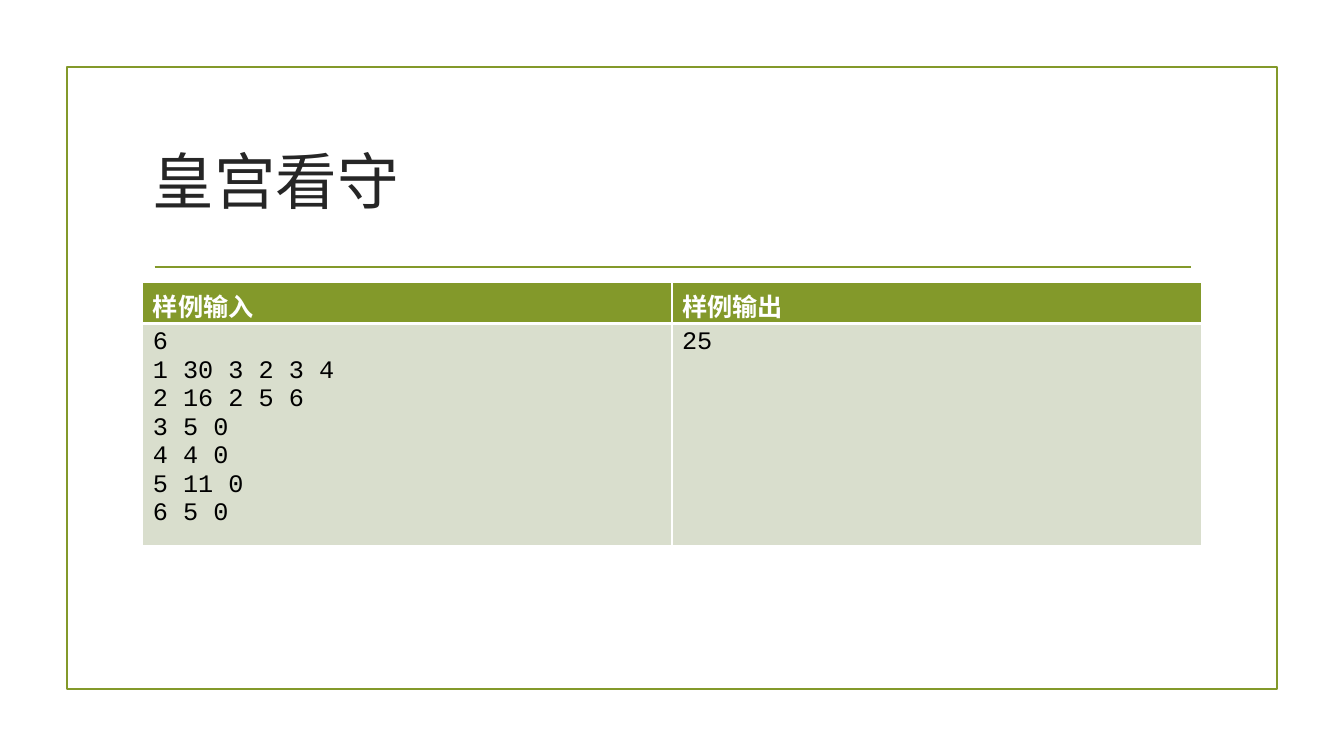
from lxml.etree import SubElement
from pptx import Presentation
from pptx.dml.color import RGBColor as RGB
from pptx.enum.shapes import MSO_CONNECTOR as CONN, MSO_SHAPE as SHAPE
from pptx.enum.text import MSO_ANCHOR as ANCHOR
from pptx.oxml.ns import qn
from pptx.util import Inches, Pt

COLORS = {"olive": "83992A", "pale": "D9DECD", "white": "FFFFFF",
          "black": "000000", "title": "262626"}
COLS, ROWS = 160, 90


class SlideBuilder:
    title_font = "Times New Roman"
    code_font = "Courier New"
    line_width = Pt(1.25)

    def __init__(self, prs):
        self.slide = prs.slides.add_slide(prs.slide_layouts[6])
        self.shapes = self.slide.shapes
        self.col = prs.slide_width / COLS
        self.row = prs.slide_height / ROWS
        self.background("white")

    def rgb(self, color):
        return RGB.from_string(COLORS[color])

    def place(self, x, y, w, h):
        return (round(x * self.col), round(y * self.row),
                round(w * self.col), round(h * self.row))

    def background(self, color):
        fill = self.slide.background.fill
        fill.solid()
        fill.fore_color.rgb = self.rgb(color)

    def outline(self, line, color):
        line.color.rgb = self.rgb(color)
        line.width = self.line_width

    def frame(self, x, y, w, h, color):
        sp = self.shapes.add_shape(SHAPE.RECTANGLE, *self.place(x, y, w, h))
        sp.shadow.inherit = False
        sp.fill.background()
        self.outline(sp.line, color)

    def rule(self, x1, x2, y, color):
        ends = self.place(x1, y, x2, y)
        cn = self.shapes.add_connector(CONN.STRAIGHT, *ends)
        self.outline(cn.line, color)
        SubElement(cn._element.spPr, qn("a:effectLst"))

    def add_lines(self, tf, lines, font, size, color, bold=False):
        for i, line in enumerate(lines):
            p = tf.paragraphs[0] if i == 0 else tf.add_paragraph()
            r = p.add_run()
            r.text = line
            r.font.name = font
            r.font.size = Pt(size)
            r.font.bold = bold
            r.font.color.rgb = self.rgb(color)

    def title(self, text, x, y, w, h):
        tf = self.shapes.add_textbox(*self.place(x, y, w, h)).text_frame
        tf.word_wrap = True
        tf.vertical_anchor = ANCHOR.MIDDLE
        self.add_lines(tf, [text], self.title_font, 44, "title")

    def borders(self, cell, widths):
        tcPr = cell._tc.get_or_add_tcPr()
        for side, width in zip("LRTB", widths):
            ln = SubElement(tcPr, qn(f"a:ln{side}"), w=str(Pt(width)))
            fill = SubElement(ln, qn("a:solidFill"))
            SubElement(fill, qn("a:srgbClr"), val=COLORS["white"])

    def table(self, x, y, w, heights, content):
        box = self.place(x, y, w, sum(heights))
        tbl = self.shapes.add_table(len(content), len(content[0]), *box).table
        for i, (height, row) in enumerate(zip(heights, content)):
            tbl.rows[i].height = round(height * self.row)
            header = i == 0
            for j, lines in enumerate(row):
                cell = tbl.cell(i, j)
                self.borders(cell, (1, 1, 1, 3) if header else (1, 1, 3, 1))
                cell.fill.solid()
                cell.fill.fore_color.rgb = self.rgb("olive" if header else "pale")
                self.add_lines(cell.text_frame, lines, self.code_font, 18,
                               "white" if header else "black", header)


def main():
    prs = Presentation()
    prs.slide_width, prs.slide_height = Inches(13.33), Inches(7.5)
    s = SlideBuilder(prs)
    s.frame(8, 8, 144, 74, "olive")
    s.rule(18.4, 141.8, 31.8, "olive")
    s.title("皇宫看守", 17, 12.8, 126, 17.2)
    sample_input = ["6", "1 30 3 2 3 4", "2 16 2 5 6", "3 5 0",
                    "4 4 0", "5 11 0", "6 5 0"]
    s.table(17, 33.6, 126, (4.9, 25), [
        [["样例输入"], ["样例输出"]],
        [sample_input, ["25"]],
    ])
    prs.save("out.pptx")


if __name__ == "__main__":
    main()
